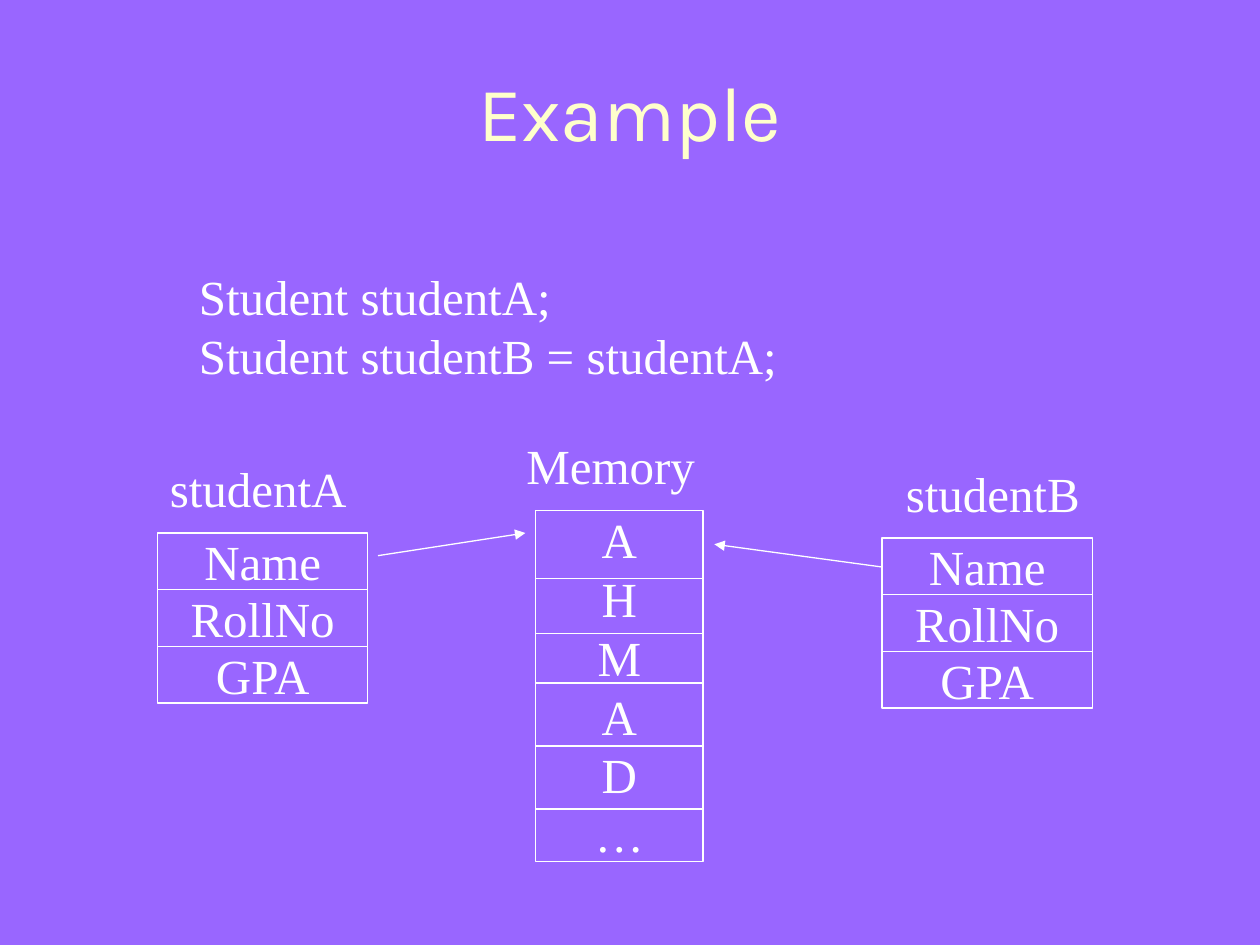
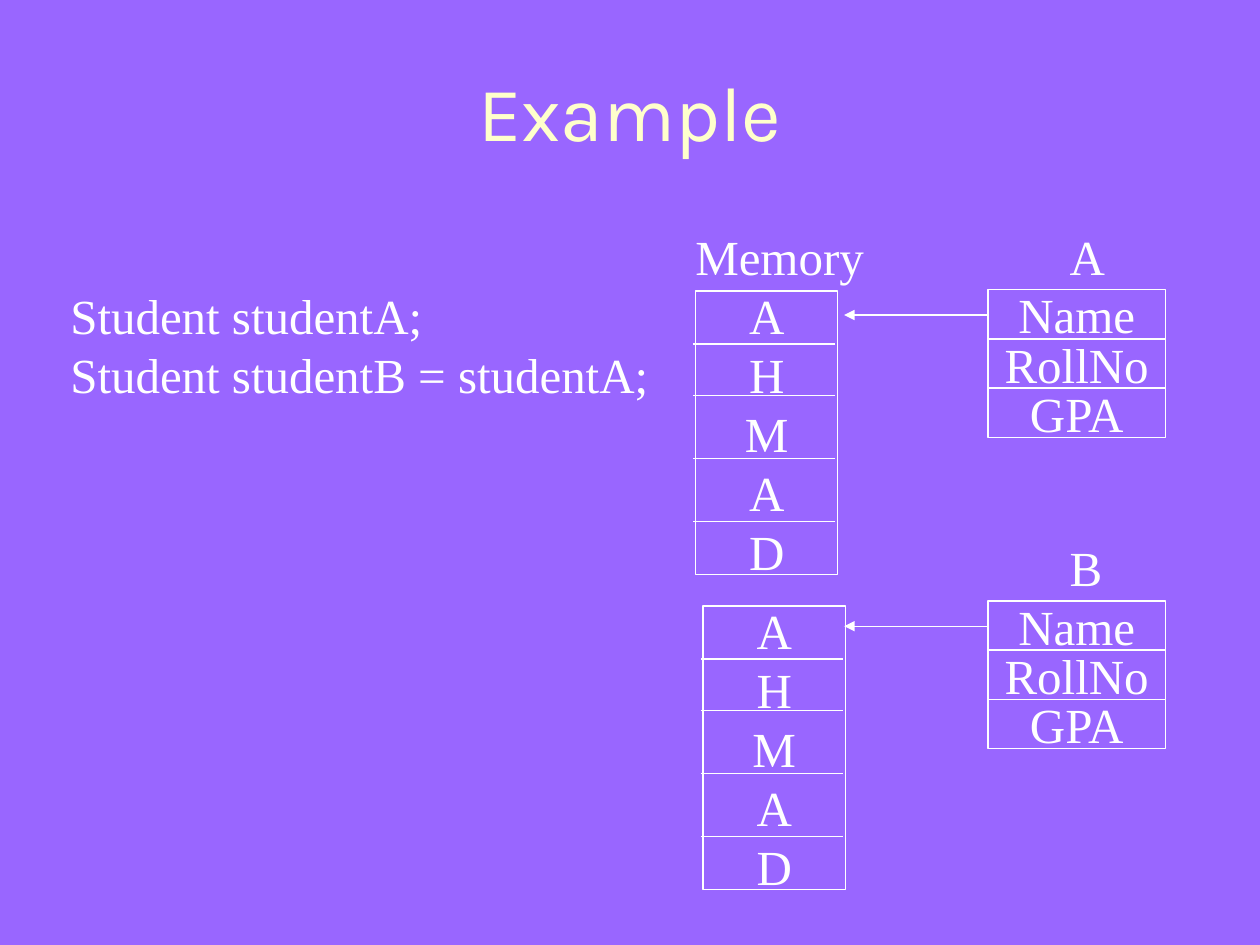
from dataclasses import dataclass

from lxml.etree import SubElement
from pptx import Presentation
from pptx.dml.color import RGBColor
from pptx.enum.shapes import MSO_CONNECTOR, MSO_SHAPE
from pptx.enum.text import MSO_ANCHOR, PP_ALIGN
from pptx.oxml.ns import qn
from pptx.util import Inches, Pt


@dataclass(frozen=True)
class Theme:
    background = RGBColor(0x99, 0x66, 0xFF)
    title = RGBColor(0xFF, 0xFF, 0xCC)
    body = RGBColor(0xFF, 0xFF, 0xFF)
    title_font = "Karla"
    body_font = "Times New Roman"
    title_size = Pt(44)
    body_size = Pt(28)
    line_width = Pt(0.75)


theme = Theme()


def add_text(slide, position, lines, boxed=False, is_title=False):
    bounds = [Inches(length) for length in position]
    if boxed:
        shape = slide.shapes.add_shape(MSO_SHAPE.RECTANGLE, *bounds)
        shape.shadow.inherit = False
        shape.fill.background()
        shape.line.color.rgb = theme.body
        shape.line.width = theme.line_width
    else:
        shape = slide.shapes.add_textbox(*bounds)
    text_frame = shape.text_frame
    text_frame.text = "\n".join(lines)
    text_frame.word_wrap = is_title
    centred = boxed or is_title
    text_frame.vertical_anchor = MSO_ANCHOR.MIDDLE if centred else MSO_ANCHOR.TOP
    for paragraph in text_frame.paragraphs:
        paragraph.alignment = PP_ALIGN.CENTER if centred else PP_ALIGN.LEFT
        for run in paragraph.runs:
            run.font.name = theme.title_font if is_title else theme.body_font
            run.font.size = theme.title_size if is_title else theme.body_size
            run.font.color.rgb = theme.title if is_title else theme.body


def add_line(slide, start, end, arrow=False):
    points = [Inches(length) for length in (*start, *end)]
    connector = slide.shapes.add_connector(MSO_CONNECTOR.STRAIGHT, *points)
    connector.line.color.rgb = theme.body
    connector.line.width = theme.line_width
    if arrow:
        SubElement(connector.get_or_add_ln(), qn("a:tailEnd"), type="triangle")
    SubElement(connector.element.spPr, qn("a:effectLst"))


presentation = Presentation()
presentation.slide_width = Inches(10)
presentation.slide_height = Inches(7.5)
background_fill = presentation.slide_master.background.fill
background_fill.solid()
background_fill.fore_color.rgb = theme.background

code = ["Student studentA;", "Student studentB = studentA;"]
fields = ["Name", "RollNo", "GPA"]
letters = list("AHMAD")

slide_contents = [
    {
        "code": (1.48, 2.07),
        "labels": [
            ("studentA", 1.25, 3.59, 1.6),
            ("studentB", 7.09, 3.63, 1.58),
            ("Memory", 4.08, 3.41, 1.58),
        ],
        "field_size": (1.67, 0.45),
        "objects": [(1.25, 4.23), (7, 4.27)],
        "memory_letters": letters + ["…"],
        "memory_size": (1.33, 2.79),
        "memories": [(4.25, 4.05)],
        "divider_shift": 0,
        "dividers": [0.54, 0.98, 1.37, 1.87, 2.37],
        "arrows": [((3, 4.41), (4.17, 4.23)), ((7, 4.5), (5.67, 4.32))],
    },
    {
        "code": (0.46, 2.22),
        "labels": [
            ("A", 8.39, 1.75, 0.48),
            ("B", 8.39, 4.22, 0.46),
            ("Memory", 5.42, 1.75, 1.54),
        ],
        "field_size": (1.41, 0.39),
        "objects": [(7.84, 2.3), (7.84, 4.77)],
        "memory_letters": letters,
        "memory_size": (1.13, 2.25),
        "memories": [(5.52, 2.31), (5.58, 4.81)],
        "divider_shift": -0.02,
        "dividers": [0.42, 0.83, 1.33, 1.83],
        "arrows": [((7.83, y), (6.7, y)) for y in (2.5, 4.97)],
    },
]

for content in slide_contents:
    slide = presentation.slides.add_slide(presentation.slide_layouts[6])
    add_text(slide, (0.33, 0.25, 9.34, 1.25), ["Example"], is_title=True)
    add_text(slide, (*content["code"], 4.79, 1.04), code)

    for label, left, top, width in content["labels"]:
        add_text(slide, (left, top, width, 0.57), [label])

    field_width, field_height = content["field_size"]
    for left, top in content["objects"]:
        for row, field in enumerate(fields):
            field_top = top + row * field_height
            add_text(slide, (left, field_top, field_width, field_height), [field], boxed=True)

    memory_width, memory_height = content["memory_size"]
    for left, top in content["memories"]:
        add_text(slide, (left, top, memory_width, memory_height), content["memory_letters"], boxed=True)
        divider_left = left + content["divider_shift"]
        for offset in content["dividers"]:
            y = top + offset
            add_line(slide, (divider_left + memory_width, y), (divider_left, y))

    for start, end in content["arrows"]:
        add_line(slide, start, end, arrow=True)

presentation.save("out.pptx")
